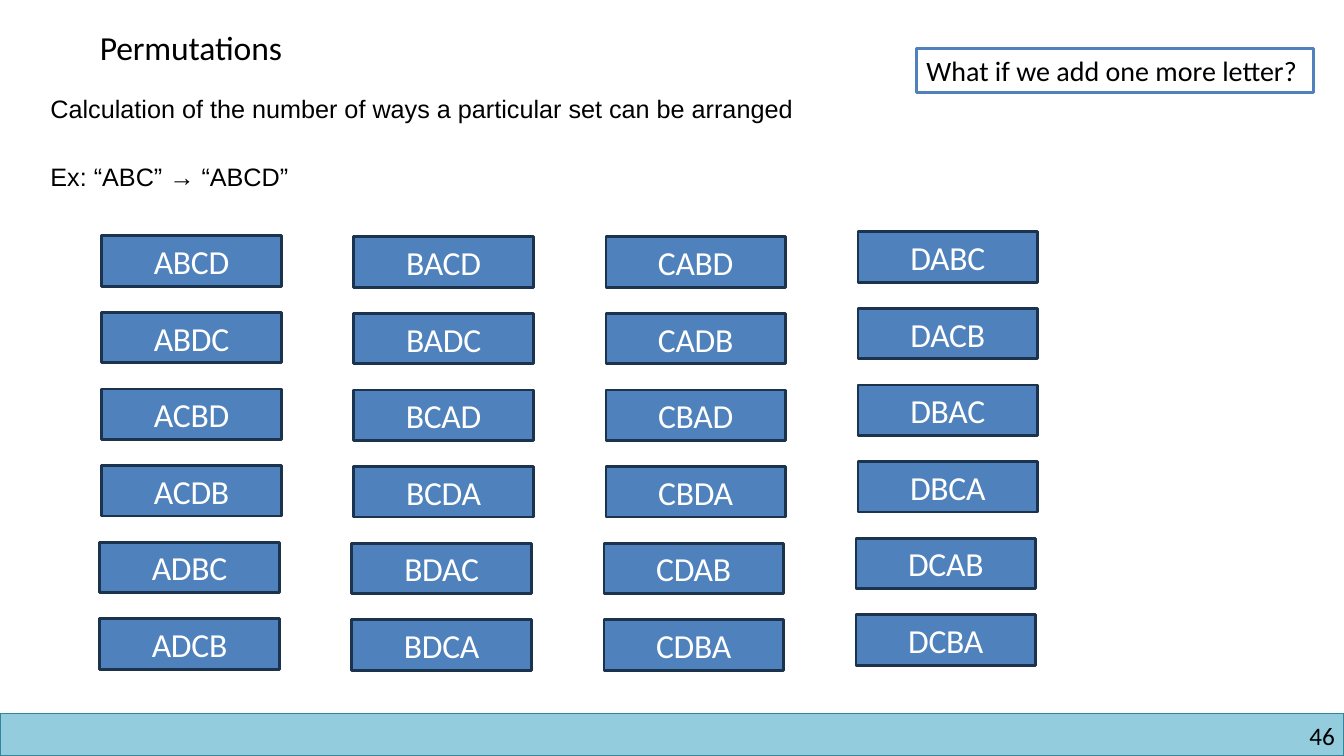
from itertools import permutations

from pptx import Presentation
from pptx.dml.color import RGBColor
from pptx.enum.shapes import MSO_SHAPE
from pptx.enum.text import MSO_ANCHOR, MSO_AUTO_SIZE, PP_ALIGN
from pptx.oxml.ns import qn
from pptx.util import Inches, Pt

RECTANGLE = MSO_SHAPE.RECTANGLE
TOP, MIDDLE = MSO_ANCHOR.TOP, MSO_ANCHOR.MIDDLE
LEFT, CENTER, RIGHT = PP_ALIGN.LEFT, PP_ALIGN.CENTER, PP_ALIGN.RIGHT
NO_AUTOFIT = MSO_AUTO_SIZE.NONE

COLUMN_TOPS = [2.34, 2.35, 2.35, 2.3]
COLUMN_LEFT, COLUMN_STEP = 1.01, 2.5
ROW_STEP = 0.76
ROWS = 6
OUTDENTED_ROW, OUTDENT = 4, 0.02


def color(code):
    return RGBColor.from_string(code)


class SlideBuilder:
    heading_font, body_font = "Calibri", "Arial"
    ink, white = "000000", "FFFFFF"
    blue, navy = "4F81BC", "1C334E"
    bar_fill, bar_line = "93CDDD", "31859C"

    def __init__(self, page):
        self.page = page

    def place(self, shape, left, top, width, height):
        shape.left, shape.top = Inches(left), Inches(top)
        shape.width, shape.height = Inches(width), Inches(height)

    def frame(self, shape, anchor=TOP, inset=0):
        """Set wrapping, anchor and left inset; return the text frame."""
        frame = shape.text_frame
        frame.word_wrap = True
        frame.auto_size = NO_AUTOFIT
        frame.vertical_anchor = anchor
        frame.margin_left = Inches(inset)
        frame.margin_right = frame.margin_top = frame.margin_bottom = 0
        return frame

    def add_text(self, para, text, size, font=heading_font, ink=ink,
                 align=LEFT, before=0, tracking=0):
        para.alignment = align
        para.space_before = Pt(before)
        span = para.add_run()
        span.text = text
        span.font.size = Pt(size)
        span.font.name = font
        span.font.color.rgb = color(ink)
        if tracking:
            span._r.get_or_add_rPr().set("spc", str(round(tracking * 100)))

    def title(self, text):
        box = self.page.shapes.title
        self.place(box, 0.99, 0.27, 4.76, 0.43)
        self.add_text(self.frame(box).paragraphs[0], text, 24, tracking=-0.1)

    def body(self, lines, gap):
        box = self.page.placeholders[1]
        self.place(box, 0.5, 0.93, 7.6, 1)
        frame = self.frame(box)
        for index, line in enumerate(lines):
            para = frame.add_paragraph() if index else frame.paragraphs[0]
            properties = para._p.get_or_add_pPr()
            properties.set("marL", "0")
            properties.set("indent", "0")
            properties.append(properties.makeelement(qn("a:buNone"), {}))
            self.add_text(para, line, 18, self.body_font,
                          before=gap if index else 0)

    def rectangle(self, left, top, width, height, fill, line, weight):
        box = self.page.shapes.add_shape(
            RECTANGLE, Inches(left), Inches(top), Inches(width), Inches(height))
        box.shadow.inherit = False
        if fill:
            box.fill.solid()
            box.fill.fore_color.rgb = color(fill)
        else:
            box.fill.background()
        box.line.color.rgb = color(line)
        box.line.width = Pt(weight)
        return box

    def arrangement(self, text, left, top):
        box = self.rectangle(left, top, 1.78, 0.5, self.blue, self.navy, 2)
        self.add_text(self.frame(box, MIDDLE).paragraphs[0], text, 24,
                      ink=self.white, align=CENTER, tracking=-0.2)

    def question(self, text):
        box = self.rectangle(9.09, 0.48, 3.94, 0.44, None, self.blue, 2)
        self.add_text(self.frame(box, MIDDLE, 0.1).paragraphs[0], text, 20)

    def footer(self, number):
        self.rectangle(0, 7.08, 13.33, 0.42, self.bar_fill, self.bar_line, 1)
        box = self.page.shapes.add_textbox(
            Inches(10.17), Inches(7.15), Inches(3.07), Inches(0.3))
        self.add_text(self.frame(box).paragraphs[0], number, 18, align=RIGHT)


def main():
    deck = Presentation()
    deck.slide_width, deck.slide_height = Inches(13.33), Inches(7.5)
    builder = SlideBuilder(deck.slides.add_slide(deck.slide_layouts[1]))

    builder.title("Permutations")
    builder.body(["Calculation of the number of ways a particular set can be arranged",
                  "Ex: “ABC” → “ABCD”"], gap=27)
    builder.question("What if we add one more letter?")

    for index, letters in enumerate(permutations("ABCD")):
        column, row = divmod(index, ROWS)
        left = COLUMN_LEFT + column * COLUMN_STEP
        if row >= OUTDENTED_ROW:
            left -= OUTDENT
        builder.arrangement("".join(letters), left,
                            COLUMN_TOPS[column] + row * ROW_STEP)

    builder.footer("46")
    deck.save("out.pptx")


if __name__ == "__main__":
    main()
